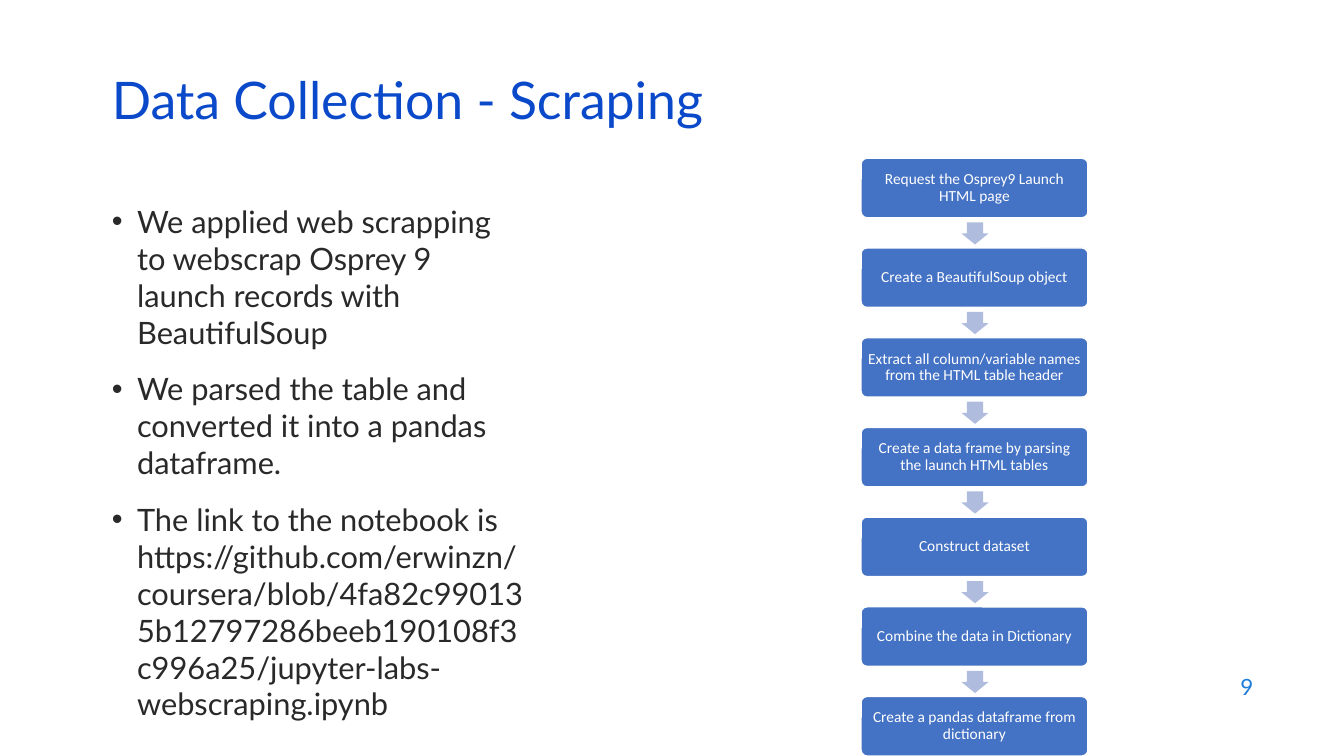
from dataclasses import dataclass

from lxml.etree import SubElement
from pptx import Presentation
from pptx.dml.color import RGBColor
from pptx.enum.shapes import MSO_SHAPE as Shape
from pptx.enum.text import MSO_ANCHOR as Anchor, MSO_AUTO_SIZE as AutoSize, PP_ALIGN as Align
from pptx.oxml.ns import qn
from pptx.util import Pt

EMU_PER_PX = 9144

TITLE_BLUE = RGBColor(0x0B, 0x49, 0xCB)
NUMBER_BLUE = RGBColor(0x1C, 0x7D, 0xDB)
BODY_GREY = RGBColor(0x29, 0x29, 0x29)
STEP_BLUE = RGBColor(0x44, 0x72, 0xC4)
ARROW_BLUE = RGBColor(0xB0, 0xBC, 0xDE)
WHITE = RGBColor(0xFF, 0xFF, 0xFF)

STEP_PITCH = 89
BULLET_INDENT = 25

BULLETS = [
    "We applied web scrapping to webscrap Osprey 9 launch records with BeautifulSoup",
    "We parsed the table and converted it into a pandas dataframe.",
    "The link to the notebook is https://github.com/erwinzn/coursera/blob/"
    "4fa82c990135b12797286beeb190108f3c996a25/jupyter-labs-webscraping.ipynb",
]
STEPS = [
    "Request the Osprey9 Launch HTML page",
    "Create a BeautifulSoup object",
    "Extract all column/variable names from the HTML table header",
    "Create a data frame by parsing the launch HTML tables",
    "Construct dataset",
    "Combine the data in Dictionary",
    "Create a pandas dataframe from dictionary",
]


@dataclass(frozen=True)
class Box:
    left: int
    top: int
    width: int
    height: int

    def emu(self) -> tuple[int, ...]:
        return tuple(px(value) for value in (self.left, self.top, self.width, self.height))

    def moved_down(self, distance: int) -> "Box":
        return Box(self.left, self.top + distance, self.width, self.height)


TITLE_BOX = Box(101, 76, 1150, 60)
BODY_BOX = Box(101, 196, 430, 417)
NUMBER_BOX = Box(953, 659, 300, 44)
FIRST_STEP = Box(854, 157, 225, 59)
FIRST_ARROW = Box(956, 218, 22, 27)


def px(value: int) -> int:
    return value * EMU_PER_PX


def place(shape, box: Box) -> None:
    shape.left, shape.top, shape.width, shape.height = box.emu()


def add_bullet(paragraph) -> None:
    properties = paragraph._p.get_or_add_pPr()
    properties.set("marL", str(px(BULLET_INDENT)))
    properties.set("indent", str(-px(BULLET_INDENT)))
    SubElement(properties, qn("a:buFont")).set("typeface", "Arial")
    SubElement(properties, qn("a:buChar")).set("char", "•")


def write_text(shape, *texts: str, size: int, color: RGBColor, font: str = "Lato",
               align: Align = Align.LEFT, anchor: Anchor = Anchor.MIDDLE,
               spacing: float = 1.0, gap: int = 0, bullets: bool = False,
               inset: int | None = None) -> None:
    frame = shape.text_frame
    frame.word_wrap = True
    frame.auto_size = AutoSize.NONE
    frame.vertical_anchor = anchor
    if inset is not None:
        frame.margin_left = frame.margin_right = px(inset)
        frame.margin_top = frame.margin_bottom = px(inset)
    for index, text in enumerate(texts):
        paragraph = frame.add_paragraph() if index else frame.paragraphs[0]
        if bullets:
            add_bullet(paragraph)
        paragraph.alignment = align
        paragraph.line_spacing = spacing
        paragraph.space_before = Pt(gap if index else 0)
        run = paragraph.add_run()
        run.text = text
        run.font.name = font
        run.font.size = Pt(size)
        run.font.color.rgb = color


def add_block(slide, kind: Shape, box: Box, fill: RGBColor, *adjustments: float):
    shape = slide.shapes.add_shape(kind, *box.emu())
    shape.shadow.inherit = False
    shape.fill.solid()
    shape.fill.fore_color.rgb = fill
    shape.line.fill.background()
    for index, adjustment in enumerate(adjustments):
        shape.adjustments[index] = adjustment
    return shape


def add_step(slide, text: str, box: Box) -> None:
    step = add_block(slide, Shape.ROUNDED_RECTANGLE, box, STEP_BLUE, 0.1)
    step.line.color.rgb = WHITE
    step.line.width = Pt(1)
    write_text(step, text, size=11, color=WHITE, font="Calibri",
               align=Align.CENTER, spacing=0.9, inset=4)


def add_arrow(slide, box: Box) -> None:
    arrow = add_block(slide, Shape.RIGHT_ARROW, box, ARROW_BLUE, 0.6, 0.5)
    arrow.rotation = 90


def main() -> None:
    presentation = Presentation()
    presentation.slide_width, presentation.slide_height = px(1333), px(750)
    slide = presentation.slides.add_slide(presentation.slide_layouts[1])

    title, body = slide.placeholders
    place(title, TITLE_BOX)
    write_text(title, "Data Collection - Scraping", size=37, color=TITLE_BLUE, spacing=0.7)
    place(body, BODY_BOX)
    write_text(body, *BULLETS, size=22, color=BODY_GREY, anchor=Anchor.TOP,
               gap=14, bullets=True)

    number = slide.shapes.add_textbox(*NUMBER_BOX.emu())
    write_text(number, "9", size=16, color=NUMBER_BLUE, align=Align.RIGHT)

    for index, text in enumerate(STEPS):
        if index:
            add_arrow(slide, FIRST_ARROW.moved_down((index - 1) * STEP_PITCH))
        add_step(slide, text, FIRST_STEP.moved_down(index * STEP_PITCH))

    presentation.save("out.pptx")


if __name__ == "__main__":
    main()
